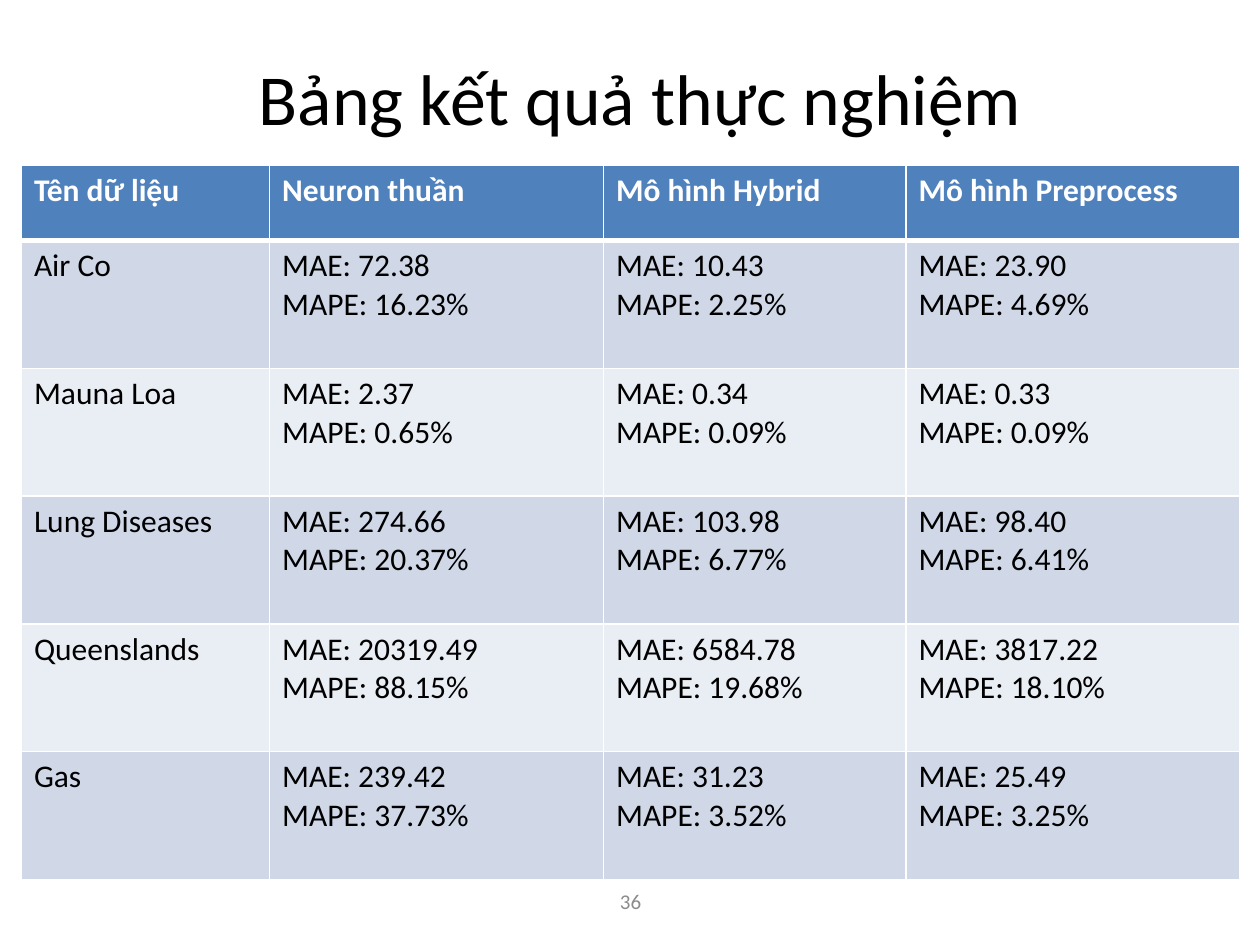
from lxml.etree import SubElement
from pptx import Presentation
from pptx.dml.color import RGBColor as Rgb
from pptx.enum.text import MSO_ANCHOR as Anchor, PP_ALIGN as Align
from pptx.oxml.ns import qn
from pptx.util import Inches, Pt

COLORS = {"header": "4F81BD", "odd": "D0D8E8", "even": "E9EDF4",
          "line": "FFFFFF", "text": "000000", "number": "8C8C8C"}
FONT = "Calibri"
HEADINGS = ["Tên dữ liệu", "Neuron thuần", "Mô hình Hybrid", "Mô hình Preprocess"]
# Data set name, then (MAE, MAPE) for each model
RESULTS = [
    ("Air Co", ("72.38", "16.23"), ("10.43", "2.25"), ("23.90", "4.69")),
    ("Mauna Loa", ("2.37", "0.65"), ("0.34", "0.09"), ("0.33", "0.09")),
    ("Lung Diseases", ("274.66", "20.37"), ("103.98", "6.77"), ("98.40", "6.41")),
    ("Queenslands", ("20319.49", "88.15"), ("6584.78", "19.68"), ("3817.22", "18.10")),
    ("Gas", ("239.42", "37.73"), ("31.23", "3.52"), ("25.49", "3.25")),
]
COLUMN_WIDTHS = [1.97, 2.65, 2.4, 2.65]
TABLE_HEIGHT, HEADER_HEIGHT = 5.67, 0.6
ROW_HEIGHT = (TABLE_HEIGHT - HEADER_HEIGHT) / len(RESULTS)


def write_lines(frame, lines, size, color, bold=False, align=Align.LEFT):
    """Write each line as one formatted paragraph of the text frame."""
    for index, line in enumerate(lines):
        para = frame.add_paragraph() if index else frame.paragraphs[0]
        para.alignment = align
        span = para.add_run()
        span.text = line
        span.font.name, span.font.size, span.font.bold = FONT, Pt(size), bold
        span.font.color.rgb = Rgb.from_string(COLORS[color])


def style_cell(cell, fill, bottom_width):
    """Give a cell white borders and a solid fill."""
    props = cell._tc.get_or_add_tcPr()
    for side, width in (("lnL", 1), ("lnR", 1), ("lnT", 1), ("lnB", bottom_width)):
        line = SubElement(props, qn(f"a:{side}"), w=str(Pt(width)))
        solid = SubElement(line, qn("a:solidFill"))
        SubElement(solid, qn("a:srgbClr"), val=COLORS["line"])
    cell.fill.solid()
    cell.fill.fore_color.rgb = Rgb.from_string(COLORS[fill])


deck = Presentation()
deck.slide_width, deck.slide_height = Inches(10), Inches(7.5)
page = deck.slides.add_slide(deck.slide_layouts.get_by_name("Title Only"))

# Title
title = page.shapes.title
title.left, title.top = Inches(0.5), Inches(0.38)
title.width, title.height = Inches(9.17), Inches(0.79)
title.text_frame.vertical_anchor = Anchor.TOP
write_lines(title.text_frame, ["Bảng kết quả thực nghiệm"], 41, "text", align=Align.CENTER)

# Page number
number_box = page.shapes.add_textbox(Inches(3.42), Inches(6.95), Inches(3.17), Inches(0.4))
number_box.text_frame.word_wrap = True
number_box.text_frame.vertical_anchor = Anchor.MIDDLE
write_lines(number_box.text_frame, ["36"], 12, "number", align=Align.CENTER)

# Results table
table = page.shapes.add_table(
    len(RESULTS) + 1, len(HEADINGS), Inches(0.17), Inches(1.31),
    Inches(sum(COLUMN_WIDTHS)), Inches(TABLE_HEIGHT)).table
for column, width in zip(table.columns, COLUMN_WIDTHS):
    column.width = Inches(width)
for index, row in enumerate(table.rows):
    row.height = Inches(ROW_HEIGHT if index else HEADER_HEIGHT)

for cell, heading in zip(table.rows[0].cells, HEADINGS):
    style_cell(cell, "header", 3)
    write_lines(cell.text_frame, [heading], 18, "line", bold=True)

for index, (name, *scores) in enumerate(RESULTS, start=1):
    texts = [[name]] + [[f"MAE: {mae}", f"MAPE: {mape}%"] for mae, mape in scores]
    for cell, lines in zip(table.rows[index].cells, texts):
        style_cell(cell, "odd" if index % 2 else "even", 1)
        if index == 1:
            cell._tc.tcPr.find(qn("a:lnT")).set("w", str(Pt(3)))
        write_lines(cell.text_frame, lines, 18, "text")

deck.save("out.pptx")
